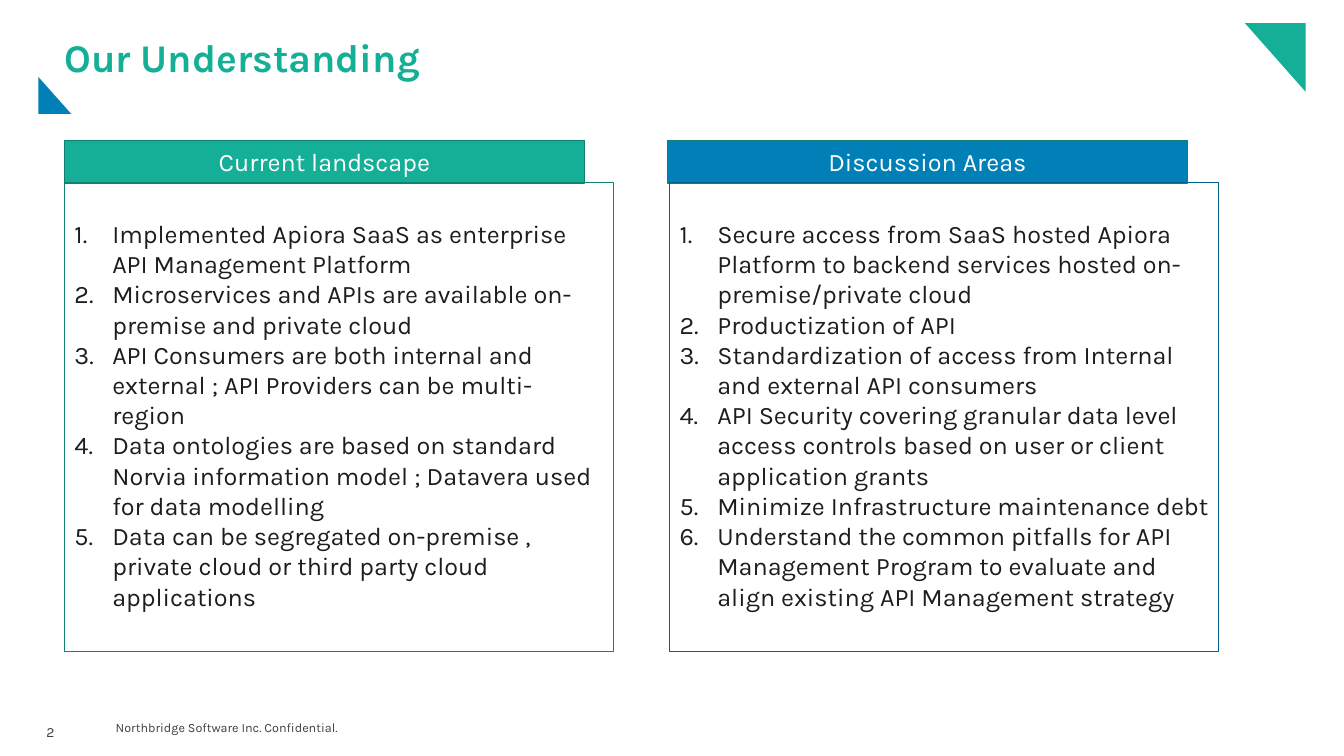
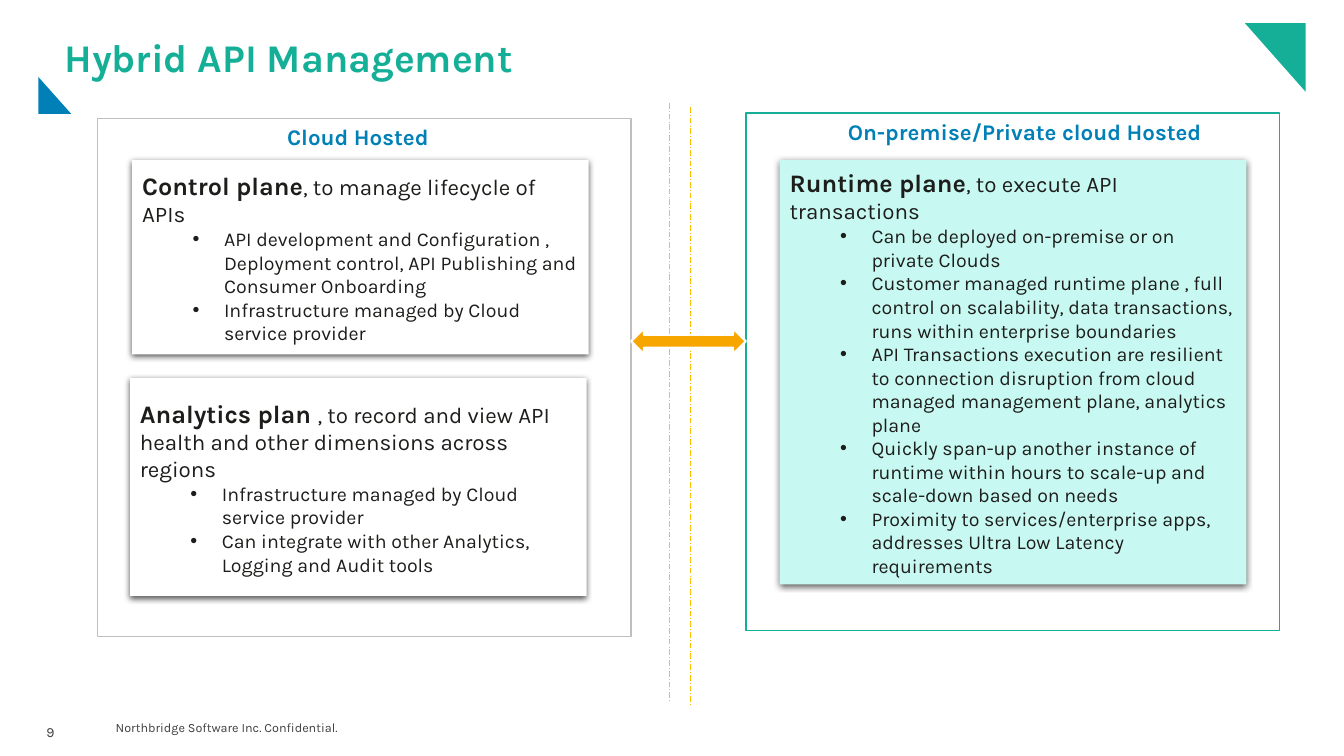
"""Build the two API management slides: current understanding and hybrid hosting."""
from dataclasses import dataclass

from lxml import etree
from pptx import Presentation
from pptx import util as u
from pptx.dml.color import RGBColor
from pptx.enum import dml, shapes, text
from pptx.oxml import ns
from pptx.util import Pt


@dataclass(frozen=True)
class Theme:
    font: str = "Karla"
    green: str = "15AF97"
    green_edge: str = "108371"
    band_edge: str = "108170"
    blue: str = "0080B7"
    blue_edge: str = "006089"
    orange: str = "F7A600"
    yellow: str = "FFC000"
    grey: str = "BFBFBF"
    mint: str = "C7F8F1"
    white: str = "FFFFFF"
    ink: str = "1D1D1B"
    footer: str = "404040"
    title_size: float = 28
    lead_size: float = 18
    text_size: float = 16
    bullet_size: float = 14
    number_size: float = 10
    footer_size: float = 9


THEME = Theme()


@dataclass(frozen=True)
class Box:
    left: float
    top: float
    width: float
    height: float

    def lengths(self) -> tuple[u.Length, ...]:
        return Pt(self.left), Pt(self.top), Pt(self.width), Pt(self.height)


@dataclass(frozen=True)
class Style:
    size: float
    color: str = THEME.ink
    bold: bool = False
    align: text.PP_ALIGN = text.PP_ALIGN.LEFT


@dataclass(frozen=True)
class Topic:
    heading: str
    band: Box
    frame: Box
    fill: str
    edge: str
    items: tuple[str, ...]


@dataclass(frozen=True)
class Plane:
    box: Box
    fill: str
    lead: str
    summary: str
    items: tuple[str, ...]


@dataclass(frozen=True)
class Host:
    heading: str
    heading_box: Box
    frame: Box
    edge: str


@dataclass(frozen=True)
class Divider:
    left: float
    top: float
    bottom: float
    color: str


HEADING_IDS = (1, 3)
CONTENT_IDS = (2, 4)
TITLE_BOX = Box(46, 27.4, 865, 30.2)
FOOTER_BOX = Box(75.6, 507.6, 196.6, 24.5)
NUMBER_BOX = Box(26, 508.3, 26.6, 22.3)
FOOTER_TEXT = "Northbridge Software Inc. Confidential."
CORNERS = (
    (THEME.green, ((889.2, 16.5), (932.6, 16.5), (932.6, 65.5))),
    (THEME.blue, ((50.9, 81.4), (27.4, 81.4), (27.4, 55))),
)

TOPICS = (
    Topic("Current landscape", Box(46, 100.2, 371.5, 30.5), Box(46, 130.6, 392.5, 334.6),
          THEME.green, THEME.green_edge, (
              "Implemented Apiora SaaS as enterprise API Management Platform",
              "Microservices and APIs are available on-premise and private cloud",
              "API Consumers are both internal and external ; API Providers can be multi-region",
              "Data ontologies are based on standard Norvia information model ; "
              "Datavera used for data modelling",
              "Data can be segregated on-premise , private cloud or third party cloud applications",
          )),
    Topic("Discussion Areas", Box(476.7, 100.2, 371.5, 30.5), Box(478.2, 130.6, 392.5, 334.6),
          THEME.blue, THEME.blue_edge, (
              "Secure access from SaaS hosted Apiora Platform to backend services hosted "
              "on-premise/private cloud",
              "Productization of API",
              "Standardization of access from Internal and external API consumers",
              "API Security covering granular data level access controls based on user or "
              "client application grants",
              "Minimize Infrastructure maintenance debt",
              "Understand the common pitfalls for API Management Program to evaluate and "
              "align existing API Management strategy",
          )),
)

HOSTS = (
    Host("Cloud Hosted", Box(162.7, 84.2, 185.8, 26.6), Box(69.8, 84.6, 381, 370), THEME.grey),
    Host("On-premise/Private cloud Hosted", Box(592.6, 81, 278.6, 26.6),
         Box(532.8, 80.6, 381, 370), THEME.green),
)
CONTROL = Plane(Box(94.3, 114.4, 326.2, 138.8), THEME.white, "Control plane",
                ", to manage lifecycle of APIs", (
                    "API development and Configuration , Deployment control, API Publishing "
                    "and Consumer Onboarding",
                    "Infrastructure managed by Cloud service provider",
                ))
ANALYTICS = Plane(Box(92.9, 270, 326.2, 155.6), THEME.white, "Analytics plan ",
                  ", to record and view API health and other dimensions across regions", (
                      "Infrastructure managed by Cloud service provider",
                      "Can integrate with other Analytics, Logging and Audit tools",
                  ))
RUNTIME = Plane(Box(556.8, 114.4, 333.4, 303), THEME.mint, "Runtime plane",
                ", to execute API transactions", (
                    "Can be deployed on-premise or on private Clouds",
                    "Customer managed runtime plane , full control on scalability, data "
                    "transactions, runs within enterprise boundaries",
                    "API Transactions execution are resilient to connection disruption from "
                    "cloud managed management plane, analytics plane",
                    "Quickly span-up another instance of runtime within hours to scale-up and "
                    "scale-down based on needs",
                    "Proximity to services/enterprise apps, addresses Ultra Low Latency requirements",
                ))
DIVIDERS = (Divider(478.2, 73.6, 501, THEME.grey), Divider(493.2, 76.4, 504, THEME.yellow))
ARROW_BOX = Box(450.8, 234.7, 82, 18.2)


def place(shape, box: Box) -> None:
    shape.left, shape.top, shape.width, shape.height = box.lengths()


def paint(shape, fill: str | None = None, edge: str | None = None, weight: float = 1) -> None:
    shape.shadow.inherit = False
    if fill:
        shape.fill.solid()
        shape.fill.fore_color.rgb = RGBColor.from_string(fill)
    else:
        shape.fill.background()
    if edge:
        shape.line.color.rgb = RGBColor.from_string(edge)
        shape.line.width = Pt(weight)
    else:
        shape.line.fill.background()


def cast_shadow(shape) -> None:
    effects = shape._element.spPr.find(ns.qn("a:effectLst"))
    shadow = etree.SubElement(effects, ns.qn("a:outerShdw"), blurRad=str(Pt(4.5)),
                              dist=str(Pt(1.5)), dir="5400000", algn="t", rotWithShape="0")
    color = etree.SubElement(shadow, ns.qn("a:srgbClr"), val="000000")
    etree.SubElement(color, ns.qn("a:alpha"), val="63000")


def set_bullet(para, kind: str = "buNone", indent: float = 0, hang: float = 0,
               **marker: str) -> None:
    props = para._p.get_or_add_pPr()
    props.set("marL", str(Pt(indent)))
    props.set("indent", str(Pt(-hang)))
    if kind == "buChar":
        etree.SubElement(props, ns.qn("a:buFont"), typeface="Arial")
    etree.SubElement(props, ns.qn(f"a:{kind}"), marker)


def format_para(para, style: Style) -> None:
    para.alignment = style.align
    para.space_before = para.space_after = Pt(0)
    para.font.name = THEME.font
    para.font.size = Pt(style.size)
    para.font.bold = style.bold
    para.font.color.rgb = RGBColor.from_string(style.color)


def prepare_frame(shape, anchor: text.MSO_ANCHOR, wrap: bool = True):
    frame = shape.text_frame
    frame.word_wrap = wrap
    frame.auto_size = text.MSO_AUTO_SIZE.NONE
    frame.vertical_anchor = anchor
    return frame


def write_line(shape, words: str, style: Style, wrap: bool = True,
               anchor: text.MSO_ANCHOR = text.MSO_ANCHOR.MIDDLE):
    para = prepare_frame(shape, anchor, wrap).paragraphs[0]
    para.text = words
    set_bullet(para)
    format_para(para, style)
    return para


def add_page(deck, title: str, number: int):
    page = deck.slides.add_slide(deck.slide_layouts.get_by_name("Comparison"))
    for color, (start, *others) in CORNERS:
        builder = page.shapes.build_freeform(Pt(start[0]), Pt(start[1]))
        builder.add_line_segments([(Pt(x), Pt(y)) for x, y in others], close=True)
        paint(builder.convert_to_shape(), color)

    heading = page.shapes.title
    place(heading, TITLE_BOX)
    para = write_line(heading, title, Style(THEME.title_size, THEME.green, bold=True))
    para.line_spacing = 0.9
    frame = heading.text_frame
    frame.margin_left = frame.margin_right = frame.margin_top = frame.margin_bottom = 0

    footer = page.shapes.add_textbox(*FOOTER_BOX.lengths())
    write_line(footer, FOOTER_TEXT, Style(THEME.footer_size, THEME.footer))
    counter = page.shapes.add_textbox(*NUMBER_BOX.lengths())
    para = write_line(counter, str(number), Style(THEME.number_size, THEME.footer),
                      wrap=False, anchor=text.MSO_ANCHOR.TOP)
    para.line_spacing, para.space_after = Pt(17), Pt(2)
    return page


def fill_topic(band, body, topic: Topic) -> None:
    place(body, topic.frame)
    paint(body, edge=topic.edge, weight=0.75)
    frame = prepare_frame(body, text.MSO_ANCHOR.TOP)
    frame.margin_top = Pt(25.2)
    frame.text = "\n".join(topic.items)
    for para in frame.paragraphs:
        set_bullet(para, "buAutoNum", 27, 27, type="arabicPeriod")
        format_para(para, Style(THEME.lead_size))

    place(band, topic.band)
    paint(band, topic.fill, THEME.band_edge)
    write_line(band, topic.heading,
               Style(THEME.lead_size, THEME.white, align=text.PP_ALIGN.CENTER))


def fill_plane(shape, plane: Plane) -> None:
    place(shape, plane.box)
    paint(shape, plane.fill)
    cast_shadow(shape)
    frame = prepare_frame(shape, text.MSO_ANCHOR.MIDDLE)
    opening = frame.paragraphs[0]
    set_bullet(opening)
    format_para(opening, Style(THEME.text_size))
    lead = opening.add_run()
    lead.text, lead.font.size, lead.font.bold = plane.lead, Pt(THEME.lead_size), True
    opening.add_run().text = plane.summary
    for item in plane.items:
        para = frame.add_paragraph()
        para.text, para.level = item, 1
        set_bullet(para, "buChar", 58.5, 22.5, char="•")
        format_para(para, Style(THEME.bullet_size))


def add_divider(page, divider: Divider) -> None:
    x = Pt(divider.left)
    line = page.shapes.add_connector(shapes.MSO_CONNECTOR.STRAIGHT,
                                     x, Pt(divider.top), x, Pt(divider.bottom))
    line.line.color.rgb = RGBColor.from_string(divider.color)
    line.line.width = Pt(0.5)
    line.line.dash_style = dml.MSO_LINE.LONG_DASH_DOT
    etree.SubElement(line._element.spPr, ns.qn("a:effectLst"))


def build_understanding(deck) -> None:
    page = add_page(deck, "Our Understanding", 2)
    for topic, band, body in zip(TOPICS, HEADING_IDS, CONTENT_IDS):
        fill_topic(page.placeholders[band], page.placeholders[body], topic)


def build_hybrid(deck) -> None:
    page = add_page(deck, "Hybrid API Management", 9)
    rectangle = shapes.MSO_SHAPE.RECTANGLE
    for host, heading_id in zip(HOSTS, HEADING_IDS):
        paint(page.shapes.add_shape(rectangle, *host.frame.lengths()), edge=host.edge)
        heading = page.placeholders[heading_id]
        place(heading, host.heading_box)
        write_line(heading, host.heading, Style(THEME.text_size, THEME.blue, True,
                                                text.PP_ALIGN.CENTER))
    for plane, content_id in zip((CONTROL, RUNTIME), CONTENT_IDS):
        fill_plane(page.placeholders[content_id], plane)
    fill_plane(page.shapes.add_shape(rectangle, *ANALYTICS.box.lengths()), ANALYTICS)
    for divider in DIVIDERS:
        add_divider(page, divider)
    arrow = page.shapes.add_shape(shapes.MSO_SHAPE.LEFT_RIGHT_ARROW, *ARROW_BOX.lengths())
    paint(arrow, THEME.orange, THEME.white, 1.5)


def main() -> None:
    deck = Presentation()
    deck.slide_width, deck.slide_height = Pt(960), Pt(540)
    build_understanding(deck)
    build_hybrid(deck)
    deck.save("out.pptx")


if __name__ == "__main__":
    main()
